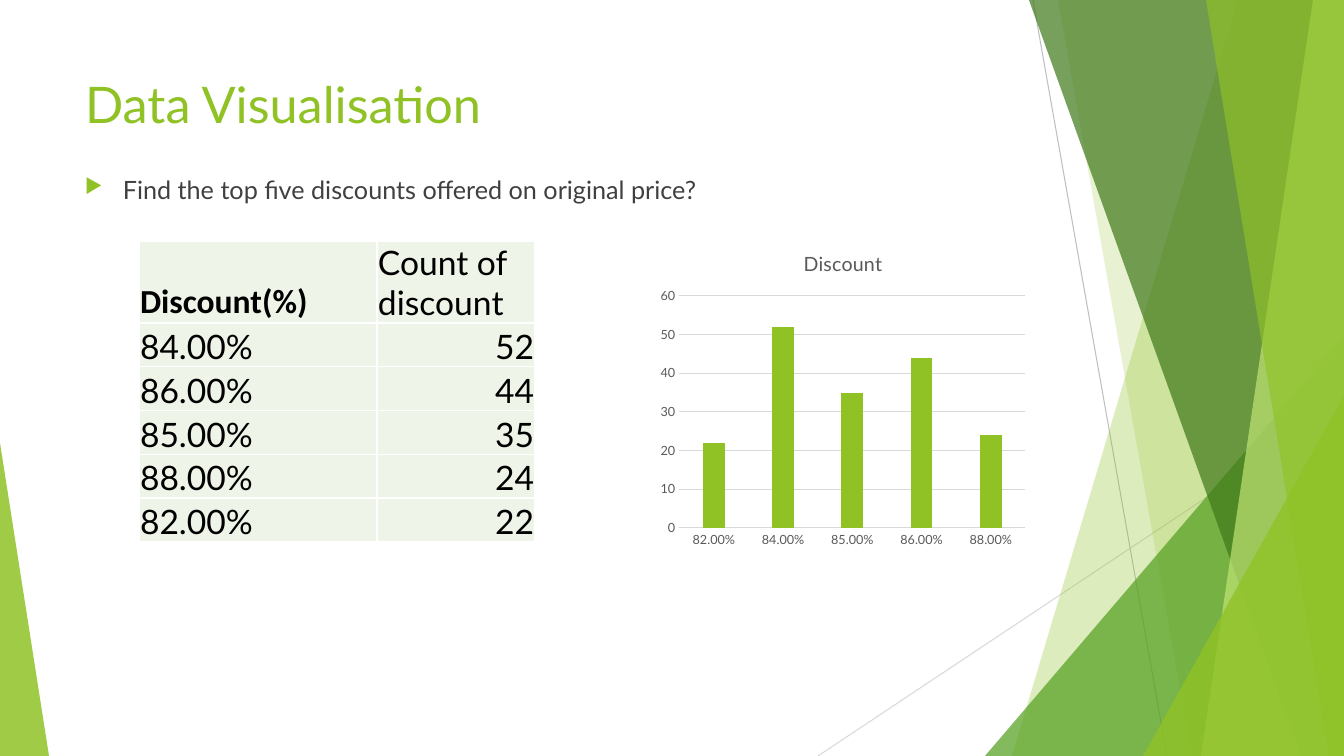
from dataclasses import dataclass

from lxml import etree
from pptx import Presentation
from pptx.chart.data import CategoryChartData
from pptx.dml.color import RGBColor
from pptx.enum.chart import XL_CHART_TYPE, XL_TICK_MARK
from pptx.enum.shapes import MSO_CONNECTOR, MSO_SHAPE
from pptx.enum.text import MSO_ANCHOR, PP_ALIGN
from pptx.oxml.ns import qn
from pptx.util import Pt

COLUMNS = XL_CHART_TYPE.COLUMN_CLUSTERED
NO_TICK = XL_TICK_MARK.NONE
STRAIGHT = MSO_CONNECTOR.STRAIGHT
TRIANGLE = MSO_SHAPE.ISOSCELES_TRIANGLE
TOP, BOTTOM = MSO_ANCHOR.TOP, MSO_ANCHOR.BOTTOM
LEFT, RIGHT = PP_ALIGN.LEFT, PP_ALIGN.RIGHT

WIDTH, HEIGHT = 1344, 756
EMU_PER_PX = 12192000 / WIDTH


@dataclass(frozen=True)
class Theme:
    font: str = "Lato"
    header_font: str = "Calibri"
    lime: str = "90C226"
    green: str = "54A021"
    forest: str = "3F7819"
    pale: str = "C0E474"
    body: str = "404040"
    muted: str = "595959"
    black: str = "000000"
    white: str = "FFFFFF"
    cell: str = "EEF4E8"
    rule: str = "D9D9D9"
    dark_rule: str = "BFBFBF"
    title_size: int = 36
    body_size: int = 18
    table_size: int = 24
    chart_title_size: int = 14
    axis_size: int = 9
    rule_width: float = 0.75


THEME = Theme()

DISCOUNT_COUNTS = [("84.00%", 52), ("86.00%", 44), ("85.00%", 35), ("88.00%", 24), ("82.00%", 22)]

RAYS = [((1033, 0), (1167, HEIGHT), THEME.dark_rule), ((WIDTH, 406), (818, HEIGHT), THEME.rule)]

# Bands reach the right edge: (top left x, bottom left x, colour, opacity).
# Corners are triangles: (left, top, width, apex, colour, opacity).
FACETS = [
    (1238, 1012, THEME.lime, 30),
    (1058, 1192, THEME.lime, 20),
    (985, 336, 359, 1, THEME.green, 72),
    (1029, 1301, THEME.forest, 70),
    (1313, 1201, THEME.pale, 70),
    (1206, 1329, THEME.lime, 65),
    (1143, 396, 201, 1, THEME.lime, 80),
    (0, 443, 49, 0, THEME.lime, 85),
]


def px(length):
    return round(length * EMU_PER_PX)


def rgb(colour):
    return RGBColor.from_string(colour)


def add_xml(parent, tag, **attributes):
    return etree.SubElement(parent, qn(tag), {key: str(value) for key, value in attributes.items()})


def set_format(target, formats):
    for name, value in formats.items():
        setattr(target, name, value)


def style_font(font, size, colour, name=THEME.font, bold=False):
    set_format(font, {"size": Pt(size), "name": name, "bold": bold})
    font.color.rgb = rgb(colour)


def style_line(line, colour):
    line.color.rgb = rgb(colour)
    line.width = Pt(THEME.rule_width)


def paint_facet(facet, colour, opacity):
    facet.shadow.inherit = False
    facet.line.fill.background()
    facet.fill.solid()
    facet.fill.fore_color.rgb = rgb(colour)
    solid_colour = facet.fill._xPr.find(qn("a:solidFill"))[0]
    add_xml(solid_colour, "a:alpha", val=opacity * 1000)


def draw_backdrop(slide):
    shapes = slide.shapes
    for start, end, colour in RAYS:
        ray = shapes.add_connector(STRAIGHT, *map(px, start + end))
        style_line(ray.line, colour)
        add_xml(ray._element.spPr, "a:effectLst")
    for *outline, colour, opacity in FACETS:
        if len(outline) == 2:
            top_x, bottom_x = outline
            builder = shapes.build_freeform(top_x, 0, scale=EMU_PER_PX)
            builder.add_line_segments([(WIDTH, 0), (WIDTH, HEIGHT), (bottom_x, HEIGHT)])
            facet = builder.convert_to_shape()
        else:
            left, top, width, apex = outline
            facet = shapes.add_shape(TRIANGLE, *map(px, (left, top, width, HEIGHT - top)))
            facet.adjustments[0] = apex
        paint_facet(facet, colour, opacity)


def place_title(slide, left, top, width, height):
    title = slide.shapes.title
    set_format(title, {"left": px(left), "top": px(top), "width": px(width), "height": px(height)})
    title.text_frame.text = "Data Visualisation"
    title.text_frame.vertical_anchor = TOP
    heading = title.text_frame.paragraphs[0]
    heading.alignment = LEFT
    style_font(heading.runs[0].font, THEME.title_size, THEME.lime)


def add_question(slide, left, top, width, height):
    frame = slide.shapes.add_textbox(*map(px, (left, top, width, height))).text_frame
    frame.word_wrap = True
    question = frame.paragraphs[0]
    question.text = "Find the top five discounts offered on original price?"
    question.space_before = Pt(10)
    style_font(question.runs[0].font, THEME.body_size, THEME.body)
    properties = question._p.get_or_add_pPr()
    properties.set("marL", str(px(38)))
    properties.set("indent", str(-px(38)))
    add_xml(add_xml(properties, "a:buClr"), "a:srgbClr", val=THEME.lime)
    add_xml(properties, "a:buSzPct", val=80000)
    add_xml(properties, "a:buChar", char="▶")


def fill_cell(cell, text, alignment, font_name, bold):
    set_format(cell, {"text": text, "vertical_anchor": BOTTOM, "margin_left": px(1),
                      "margin_right": px(1), "margin_top": px(1), "margin_bottom": 0})
    content = cell.text_frame.paragraphs[0]
    content.alignment = alignment
    style_font(content.runs[0].font, THEME.table_size, THEME.black, font_name, bold)
    properties = cell._tc.get_or_add_tcPr()
    for side in "LRTB":
        border = add_xml(properties, f"a:ln{side}", w=Pt(1))
        add_xml(add_xml(border, "a:solidFill"), "a:srgbClr", val=THEME.white)
    cell.fill.solid()
    cell.fill.fore_color.rgb = rgb(THEME.cell)


def add_discount_table(slide, left, top, width, height):
    rows = [("Discount(%)", "Count of discount"), *DISCOUNT_COUNTS]
    table = slide.shapes.add_table(len(rows), 2, *map(px, (left, top, width, height))).table
    set_format(table, {"first_row": False, "horz_banding": False})
    rate_width, header_height = round(width * 0.6), 82
    for column, column_width in zip(table.columns, (rate_width, width - rate_width)):
        column.width = px(column_width)
    for index, row in enumerate(table.rows):
        row.height = px((height - header_height) / len(DISCOUNT_COUNTS) if index else header_height)
        for column, value in enumerate(rows[index]):
            is_rate_header = index == column == 0
            fill_cell(row.cells[column], str(value), RIGHT if index and column else LEFT,
                      THEME.header_font if is_rate_header else THEME.font, is_rate_header)


def add_discount_chart(slide, left, top, width, height):
    rates, counts = zip(*sorted(DISCOUNT_COUNTS))
    chart_data = CategoryChartData()
    chart_data.categories = rates
    chart_data.add_series("Discount", counts)
    chart = slide.shapes.add_chart(COLUMNS, *map(px, (left, top, width, height)), chart_data).chart
    chart.has_legend = False
    style_font(chart.font, THEME.axis_size, THEME.muted)
    chart.has_title = True
    chart.chart_title.include_in_layout = False
    heading = chart.chart_title.text_frame
    heading.text = "Discount"
    style_font(heading.paragraphs[0].runs[0].font, THEME.chart_title_size, THEME.muted)

    for axis in (chart.category_axis, chart.value_axis):
        set_format(axis, {"major_tick_mark": NO_TICK, "minor_tick_mark": NO_TICK})
        style_font(axis.tick_labels.font, THEME.axis_size, THEME.muted)
    style_line(chart.category_axis.format.line, THEME.rule)
    set_format(chart.value_axis, {"minimum_scale": 0, "maximum_scale": 60, "major_unit": 10})
    chart.value_axis.format.line.fill.background()
    style_line(chart.value_axis.major_gridlines.format.line, THEME.rule)

    plot = chart.plots[0]
    set_format(plot, {"gap_width": 219, "overlap": -27, "vary_by_categories": False})
    bars = plot.series[0].format.fill
    bars.solid()
    bars.fore_color.rgb = rgb(THEME.lime)


def main():
    deck = Presentation()
    set_format(deck, {"slide_width": px(WIDTH), "slide_height": px(HEIGHT)})
    slide = deck.slides.add_slide(deck.slide_layouts[5])
    draw_backdrop(slide)
    place_title(slide, 75, 68, 948, 87)
    add_question(slide, 75, 169, 948, 497)
    add_discount_table(slide, 139, 241, 396, 301)
    add_discount_chart(slide, 653, 234, 380, 320)
    deck.save("out.pptx")


if __name__ == "__main__":
    main()
